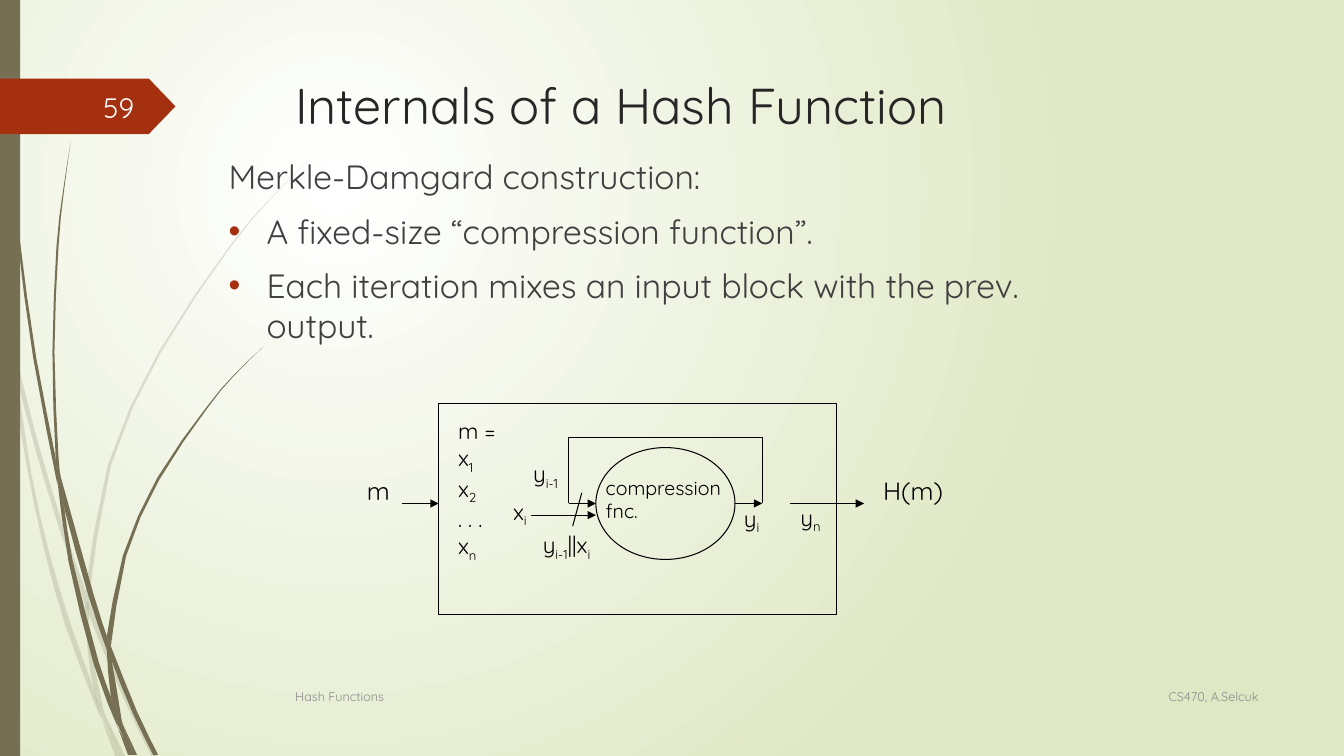
from lxml import etree
from pptx import Presentation
from pptx import util as u
from pptx.dml.color import RGBColor
from pptx.enum import shapes, text
from pptx.oxml.ns import qn

CELL = 0.1  # inches per grid column and row
OLIVE, RUST, INK, BLACK = "766F54", "A53010", "404040", "000000"
LEFT, RIGHT = text.PP_ALIGN.LEFT, text.PP_ALIGN.RIGHT
TOP, MIDDLE = text.MSO_ANCHOR.TOP, text.MSO_ANCHOR.MIDDLE

# Grass: left and right edge of each piece of a blade
PALE = [
    ([(0, 29.9), (1.1, 35)], [(0, 28.2), (0.9, 32.2), (1.1, 35)]),
    ([(1.4, 34.5), (1.7, 37.6), (3.6, 44.9), (5.8, 52.2), (8.4, 59.9)],
     [(1.4, 34.5), (3.6, 43.3), (6.2, 52), (8.5, 58.6)]),
    ([(8.8, 59.6), (8.8, 61), (12.3, 69.4), (15, 75)], [(8.8, 59.6), (12.7, 69.2), (15.5, 75)]),
    ([(10.5, 71.1), (11.9, 75)], [(10.5, 71.1), (12.4, 75)]),
    ([(1.1, 35), (1.8, 41), (2.8, 47), (4.4, 54.6), (6.5, 62.1), (9.2, 69.3), (10.1, 71.4)],
     [(1.1, 35), (1.7, 37.6), (3.1, 46.9), (4.8, 54.5), (7, 61.9), (9.3, 68.3), (9.9, 70.7)]),
    ([(8.4, 59.9), (8.7, 64.6), (9.3, 68.3), (10.5, 71.1)], [(8.4, 59.9), (8.8, 61), (9.1, 64.6), (10.3, 70.6)]),
    ([(31.2, 15.3), (26.8, 19.7), (22.8, 24.4), (15.8, 34.8), (10.7, 46.1), (8.5, 58.6)],
     [(31.2, 15.3), (26.8, 19.8), (22.9, 24.5), (16, 34.9), (11, 46.2), (8.8, 59.6)]),
    ([(10.1, 71.4), (11.4, 75)], [(10.1, 71.4), (11.9, 75)]),
    ([(8.5, 58.6), (8.4, 59.9)], [(8.8, 59.6), (8.8, 61)]),
    ([(9.3, 68.3), (9.9, 70.7), (11.9, 75)], [(9.6, 69.2), (10.5, 71.1), (11.9, 75)]),
]
DARK = [
    ([(0.3, 0), (0.7, 11), (1.7, 23.3), (3.3, 35.5), (5.7, 48.1)],
     [(0.4, 0), (0.8, 10.9), (1.9, 23.2), (3.6, 35.5), (5.5, 45.3), (5.7, 48.1)]),
    ([(6, 47.2), (6.4, 50.5), (8.8, 59.2), (10.6, 64.5)], [(6, 47.2), (9.3, 59), (10.6, 63.1)]),
    ([(11, 64.1), (11.1, 65.6), (13.2, 70.8), (15.2, 74.9)], [(11, 64.1), (13.6, 70.6), (15.7, 74.9)]),
    ([(5.7, 47.7), (6.8, 55.7), (9.3, 65.9), (11.7, 72.2)],
     [(5.7, 47.7), (6.4, 50.5), (7.2, 55.6), (9.8, 65.7), (11, 69.1), (11.6, 71.7)]),
    ([(7, 14.1), (6.2, 19.3), (5.6, 24.5), (5.2, 34.9), (5.5, 44.9), (6, 47.2)],
     [(7, 14.1), (6.3, 19.3), (5.8, 24.5), (5.4, 34.9), (5.8, 45.3), (6, 47.2)]),
    ([(12.2, 71.9), (13.3, 74.9)], [(12.2, 71.9), (13.6, 74.9)]),
    ([(5.5, 44.9), (5.7, 47.7), (6.4, 50.5)], [(5.5, 44.9), (6, 47.2), (6.4, 50.5)]),
    ([(26.1, 34.4), (23.1, 37.3), (20.4, 40.5), (15.6, 47.4), (12.2, 55.1), (10.6, 63.1)],
     [(26.1, 34.4), (23.1, 37.4), (20.5, 40.6), (15.8, 47.6), (12.5, 55.2), (11, 64.1)]),
    ([(11.7, 72.2), (12.7, 74.9)], [(11.7, 72.2), (13.1, 74.9)]),
    ([(10.6, 64.5), (11, 69.1), (12.2, 71.9)], [(10.6, 64.5), (11.1, 65.6), (12.1, 71.6)]),
    ([(10.6, 63.1), (10.6, 64.5)], [(11, 64.1), (11.1, 65.6)]),
    ([(11, 69.1), (11.6, 71.7), (13, 74.9)], [(11.6, 70.6), (12.2, 71.9), (13.3, 74.9)]),
]


def g(cells):
    return u.Inches(cells * CELL)


def rgb(value):
    return RGBColor.from_string(value)


def smooth(points):
    """Add the Catmull-Rom midpoint between neighbours."""
    padded = [points[0], *points, points[-1]]
    curve = []
    for a, b, c, d in zip(padded, padded[1:], padded[2:], padded[3:]):
        curve += [b, tuple((9 * (q + r) - p - w) / 16 for p, q, r, w in zip(a, b, c, d))]
    return curve + [points[-1]]


class Deck:
    font = "Quicksand"

    def __init__(self, cols, rows):
        self.prs = Presentation()
        self.prs.slide_width, self.prs.slide_height = g(cols), g(rows)
        self.s = self.prs.slides.add_slide(self.prs.slide_layouts[6])

    def background(self, inner, outer):
        fill = self.s.background.fill
        fill.gradient()
        for stop, color in zip(fill.gradient_stops, (inner, outer)):
            stop.color.rgb = rgb(color)
        grad = self.s.element.find(".//" + qn("a:gradFill"))
        grad.remove(grad.find(qn("a:lin")))
        radial = etree.SubElement(grad, qn("a:path"), path="circle")
        etree.SubElement(radial, qn("a:fillToRect"), l="50000", t="50000", r="100000", b="100000")

    def paint(self, sp, fill=None, line=None):
        sp.shadow.inherit = False
        for part, color in ((sp.fill, fill), (sp.line.fill, line)):
            if color:
                part.solid()
                part.fore_color.rgb = rgb(color)
            else:
                part.background()
        sp.line.width = u.Pt(0.75)

    def shape(self, kind, x, y, w, h, **style):
        sp = self.s.shapes.add_shape(kind, g(x), g(y), g(w), g(h))
        self.paint(sp, **style)
        return sp

    def blade(self, left, right, alpha):
        outline = [(g(x), g(y)) for x, y in smooth(left) + smooth(right)[::-1]]
        builder = self.s.shapes.build_freeform(*outline[0], scale=1.0)
        builder.add_line_segments(outline[1:], close=True)
        sp = builder.convert_to_shape()
        self.paint(sp, fill=OLIVE)
        color = sp.element.spPr.find(".//" + qn("a:srgbClr"))
        etree.SubElement(color, qn("a:alpha"), val=str(alpha * 1000))

    def line(self, x1, y1, x2, y2, arrow=False):
        sp = self.s.shapes.add_connector(shapes.MSO_CONNECTOR.STRAIGHT, g(x1), g(y1), g(x2), g(y2))
        sp.line.color.rgb = rgb(BLACK)
        sp.line.width = u.Pt(0.75)
        if arrow:
            etree.SubElement(sp.line._get_or_add_ln(), qn("a:tailEnd"), type="triangle")
        etree.SubElement(sp.element.spPr, qn("a:effectLst"))

    def text(self, x, y, w, h, paragraphs, size, color=BLACK, align=LEFT, anchor=TOP, wrap=True):
        """Each paragraph is a list of runs; every second run is a subscript."""
        tf = self.s.shapes.add_textbox(g(x), g(y), g(w), g(h)).text_frame
        tf.word_wrap, tf.vertical_anchor = wrap, anchor
        tf.auto_size = text.MSO_AUTO_SIZE.NONE if wrap else text.MSO_AUTO_SIZE.SHAPE_TO_FIT_TEXT
        for n, runs in enumerate(paragraphs):
            p = tf.add_paragraph() if n else tf.paragraphs[0]
            p.alignment = align
            for i, words in enumerate(runs):
                r = p.add_run()
                r.text = words
                r.font.name, r.font.size = self.font, u.Pt(size)
                r.font.color.rgb = rgb(color)
                if i % 2:
                    r.font._element.set("baseline", "-25000")
        return tf

    def label(self, x, y, w, h, *paragraphs, size=16):
        self.text(x, y, w, h, paragraphs, size, wrap=False)

    def bullets(self, tf, first):
        for n, p in enumerate(tf.paragraphs):
            p.space_before = u.Pt(10)
            pPr = p._p.get_or_add_pPr()
            pPr.set("marL", str(g(3.75)))
            pPr.set("indent", str(-g(3.75)))
            if n >= first:
                color = etree.SubElement(pPr, qn("a:buClr"))
                etree.SubElement(color, qn("a:srgbClr"), val=RUST)
                etree.SubElement(pPr, qn("a:buFont"), typeface="Arial")
                etree.SubElement(pPr, qn("a:buChar"), char="•")


def main():
    deck = Deck(133.3, 75)
    deck.background("FFFFFF", "DFE8C4")
    for blades, alpha in ((PALE, 20), (DARK, 100)):
        for left, right in blades:
            deck.blade(left, right, alpha)
    # Side bar and page flag
    kinds = shapes.MSO_SHAPE
    deck.shape(kinds.RECTANGLE, 0, 0, 2, 75, fill=OLIVE)
    flag = deck.shape(kinds.PENTAGON, 0, 7.8, 17.4, 5.5, fill=RUST)
    flag.adjustments[0] = 0.48
    deck.text(5.8, 8.6, 8.5, 4, [["59"]], 20, "FEFFFF", RIGHT, MIDDLE)
    # Footer
    deck.text(113.3, 67, 12.5, 4.1, [["CS470, A.Selcuk"]], 9, "8C8C8C", RIGHT, MIDDLE)
    deck.text(28.3, 67.1, 83.3, 4, [["Hash Functions"]], 9, "8C8C8C", anchor=MIDDLE)
    # Title and body
    deck.text(28.3, 6.85, 97.5, 14, [["Internals of a Hash Function"]], 36, "262626")
    body = deck.text(21.7, 15, 90, 53.3, [
        ["Merkle-Damgard construction:"],
        ["A fixed-size “compression function”."],
        ["Each iteration mixes an input block with the prev. output."]], 24, INK)
    deck.bullets(body, first=1)
    # Hash function box and compression function
    deck.shape(kinds.RECTANGLE, 43.5, 40, 39.45, 21, line=BLACK)
    deck.shape(kinds.OVAL, 59.1, 44.4, 13.8, 11.1, line=BLACK)
    deck.label(59.1, 46.7, 15.4, 7.6, ["compression"], ["fnc."], size=14)
    # Arrows along the axis, block input with its slash, feedback loop
    axis = 49.95
    for x1, x2 in ((39.9, 43.5), (56.4, 59.1), (72.9, 75.6), (78.4, 85.7)):
        deck.line(x1, axis, x2, axis, arrow=True)
    deck.line(52.7, 51.1, 59.1, 51.1, arrow=True)
    deck.line(57.7, 48.9, 56.8, 52.2)
    loop = [(56.4, axis), (56.4, 43.4), (75.6, 43.4), (75.6, axis)]
    for start, end in zip(loop, loop[1:]):
        deck.line(*start, *end)
    # Diagram labels
    deck.label(35.4, 46.7, 4.8, 5.4, ["m"], size=18)
    deck.label(86.6, 46.7, 8.8, 5.4, ["H(m)"], size=18)
    deck.label(44.45, 40.9, 6.7, 19.2, ["m ="], ["x", "1"], ["x", "2"], [". . ."], ["x", "n"])
    deck.label(52.85, 52.2, 10.1, 4.9, ["y", "i-1", "||x", "i"])
    deck.label(51.9, 45.2, 5.3, 4.9, ["y", "i-1"])
    deck.label(72.8, 49.6, 3.9, 4.9, ["y", "i"])
    deck.label(78.4, 49.5, 4.6, 4.9, ["y", "n"])
    deck.label(49.9, 48.9, 3.8, 4.9, ["x", "i"])
    deck.prs.save("out.pptx")


if __name__ == "__main__":
    main()
